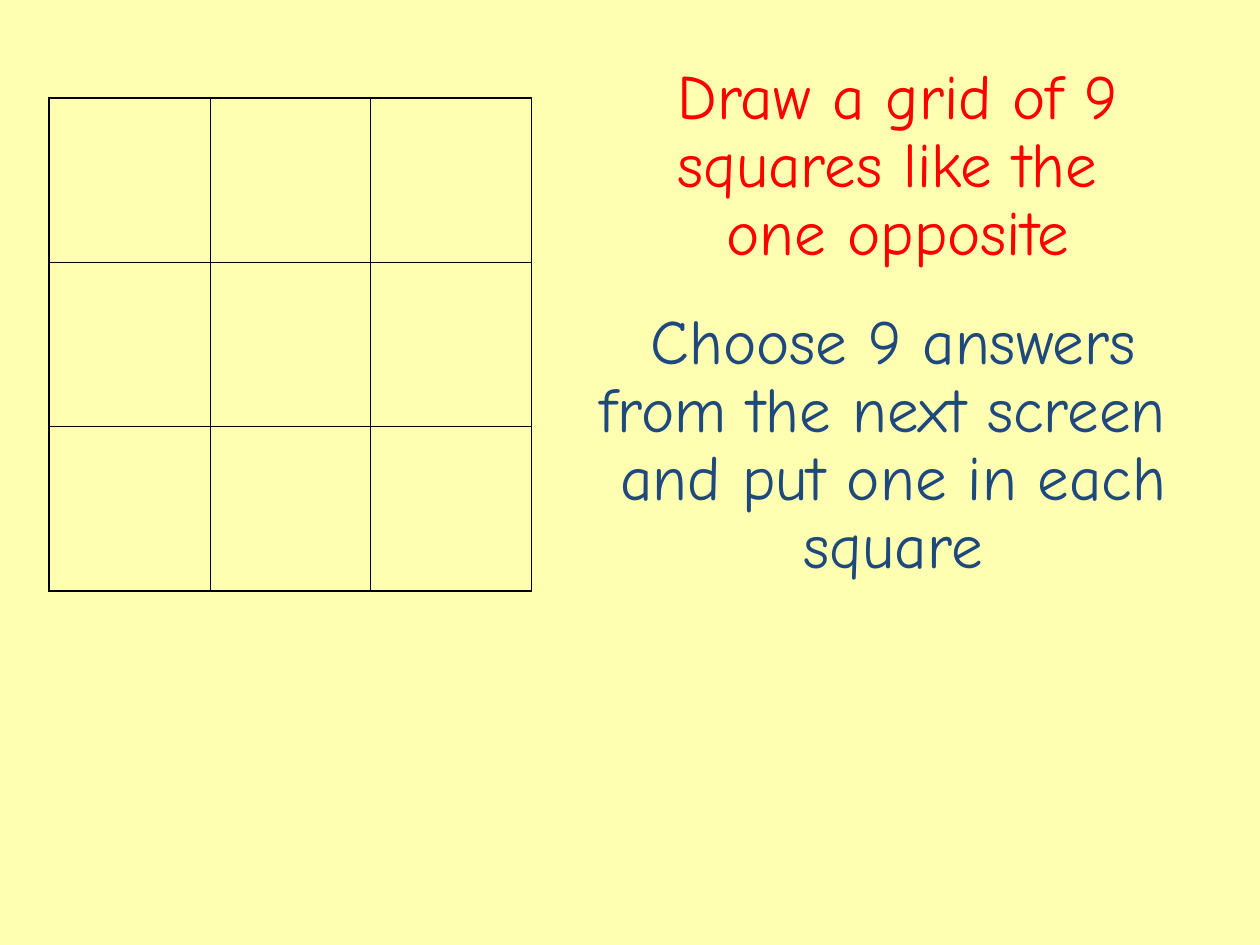
from lxml.etree import SubElement
from pptx import Presentation
from pptx.dml.color import RGBColor
from pptx.enum.text import MSO_AUTO_SIZE, PP_ALIGN
from pptx.oxml.ns import qn
from pptx.util import Inches, Pt

COLOURS = {"page": "FFFFB2", "line": "000000", "draw": "FF0000", "choose": "1F497D"}
FONT = "Comic Neue"
GRID_SIZE = 3
OUTER_LINE, INNER_LINE = 1.08, 0.45


def colour(name):
    """Return the named colour."""
    return RGBColor.from_string(COLOURS[name])


def add_border(cell, side, width):
    """Draw one side of a cell."""
    line = SubElement(cell._tc.get_or_add_tcPr(), qn(f"a:ln{side}"), w=str(Pt(width)))
    fill = SubElement(line, qn("a:solidFill"))
    SubElement(fill, qn("a:srgbClr"), val=COLOURS["line"])


def add_grid(page, left, top, width, height):
    """Place the empty grid with a heavier outer border."""
    table = page.shapes.add_table(
        GRID_SIZE, GRID_SIZE, Inches(left), Inches(top), Inches(width), Inches(height)
    ).table
    table.first_row = table.horz_banding = False
    last = GRID_SIZE - 1
    for row in range(GRID_SIZE):
        for column in range(GRID_SIZE):
            cell = table.cell(row, column)
            outer_sides = {"L": column == 0, "R": column == last, "T": row == 0, "B": row == last}
            for side, is_outer in outer_sides.items():
                add_border(cell, side, OUTER_LINE if is_outer else INNER_LINE)
            cell.fill.background()


def add_instruction(page, left, top, width, height, lines, colour_name):
    """Place a centred instruction, one paragraph for each line."""
    box = page.shapes.add_textbox(Inches(left), Inches(top), Inches(width), Inches(height))
    frame = box.text_frame
    frame.word_wrap = True
    frame.auto_size = MSO_AUTO_SIZE.SHAPE_TO_FIT_TEXT
    frame.text = "\n".join(lines)
    for para in frame.paragraphs:
        para.alignment = PP_ALIGN.CENTER
        para.line_spacing = 0.9
        para.font.name = FONT
        para.font.size = Pt(36)
        para.font.color.rgb = colour(colour_name)


def main():
    """Build and save the slide."""
    deck = Presentation()
    deck.slide_width, deck.slide_height = Inches(10), Inches(7.5)
    page = deck.slides.add_slide(deck.slide_layouts[6])
    page.background.fill.solid()
    page.background.fill.fore_color.rgb = colour("page")
    add_grid(page, 0.39, 0.78, 3.83, 3.91)
    add_instruction(
        page, 4.84, 0.47, 4.57, 1.72,
        ["Draw a grid of 9 squares like the ", "one opposite"], "draw",
    )
    add_instruction(
        page, 4.61, 2.41, 4.96, 2.26,
        ["Choose 9 answers from the next screen ", "and put one in each square"], "choose",
    )
    deck.save("out.pptx")


if __name__ == "__main__":
    main()
